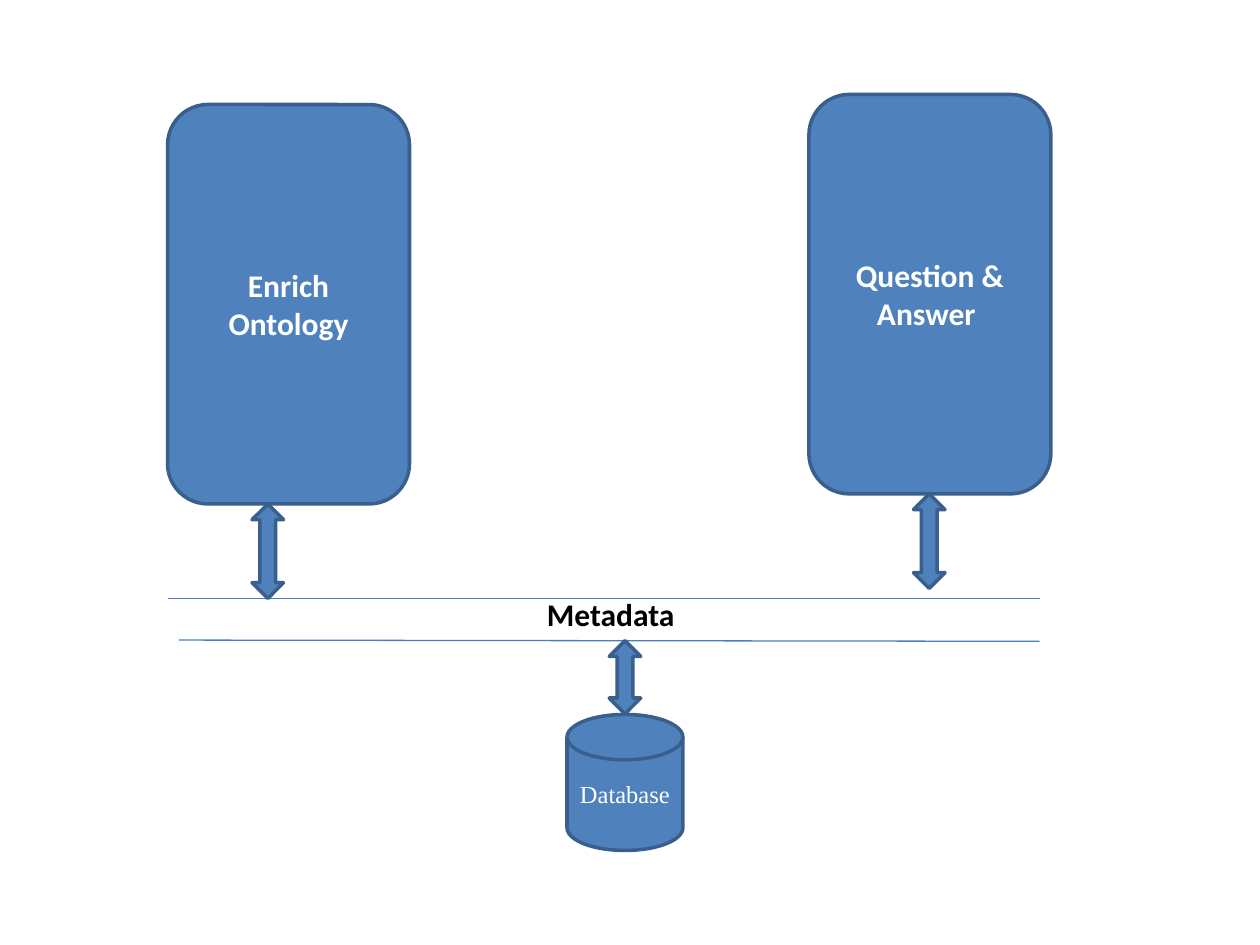
import pptx
import pptx.util
import pptx.dml.color
import pptx.enum.shapes
import pptx.enum.text
import pptx.oxml.ns
import lxml.etree
from pptx.util import Inches

BLUE = pptx.dml.color.RGBColor(0x4F, 0x81, 0xBD)
OUTLINE = pptx.dml.color.RGBColor(0x3A, 0x5F, 0x8C)
BUS_LINE = pptx.dml.color.RGBColor(0x4B, 0x7E, 0xBC)
WHITE = pptx.dml.color.RGBColor(0xFF, 0xFF, 0xFF)
BLACK = pptx.dml.color.RGBColor(0, 0, 0)
SHAPE = pptx.enum.shapes.MSO_SHAPE

presentation = pptx.Presentation()
presentation.slide_width = Inches(10)
presentation.slide_height = Inches(7.5)
slide = presentation.slides.add_slide(presentation.slide_layouts[6])


def add_block(preset, left, top, width, height):
    block = slide.shapes.add_shape(
        preset, Inches(left), Inches(top), Inches(width), Inches(height))
    block.shadow.inherit = False
    block.fill.solid()
    block.fill.fore_color.rgb = BLUE
    block.line.color.rgb = OUTLINE
    block.line.width = pptx.util.Pt(2)
    return block


def add_label(holder, wording, size, font, color, bold):
    holder.text_frame.word_wrap = True
    paragraph = holder.text_frame.paragraphs[0]
    paragraph.alignment = pptx.enum.text.PP_ALIGN.CENTER
    run = paragraph.add_run()
    run.text = wording
    run.font.size = pptx.util.Pt(size)
    run.font.name = font
    run.font.bold = bold
    run.font.color.rgb = color


database = add_block(SHAPE.FLOWCHART_MAGNETIC_DISK, 4.5, 5.67, 0.92, 1.08)
add_label(database, "Database", 14, "Times New Roman", WHITE, False)

for left, left_y, right_y in [(1.33, 4.75, 4.75), (1.42, 5.08, 5.09)]:
    bus_line = slide.shapes.add_connector(
        pptx.enum.shapes.MSO_CONNECTOR.STRAIGHT,
        Inches(8.25), Inches(right_y), Inches(left), Inches(left_y))
    bus_line.line.color.rgb = BUS_LINE
    bus_line.line.width = pptx.util.Pt(0.75)
    lxml.etree.SubElement(
        bus_line._element.spPr, pptx.oxml.ns.qn("a:effectLst"))

metadata = slide.shapes.add_textbox(
    Inches(3.5), Inches(4.67), Inches(2.75), Inches(0.4))
add_label(metadata, "Metadata ", 18, "Calibri", BLACK, True)
metadata.text_frame.auto_size = pptx.enum.text.MSO_AUTO_SIZE.SHAPE_TO_FIT_TEXT

for wording, left, top in [("Enrich Ontology", 1.33, 0.83),
                           ("Question & Answer ", 6.42, 0.75)]:
    component = add_block(SHAPE.ROUNDED_RECTANGLE, left, top, 1.92, 3.17)
    add_label(component, wording, 18, "Calibri", WHITE, True)

for left, top, length in [(4.67, 5.25, 0.58), (1.75, 4.25, 0.75), (7, 4.17, 0.75)]:
    exchange = add_block(SHAPE.LEFT_RIGHT_ARROW, left, top, length, 0.25)
    exchange.rotation = 90

presentation.save("out.pptx")
